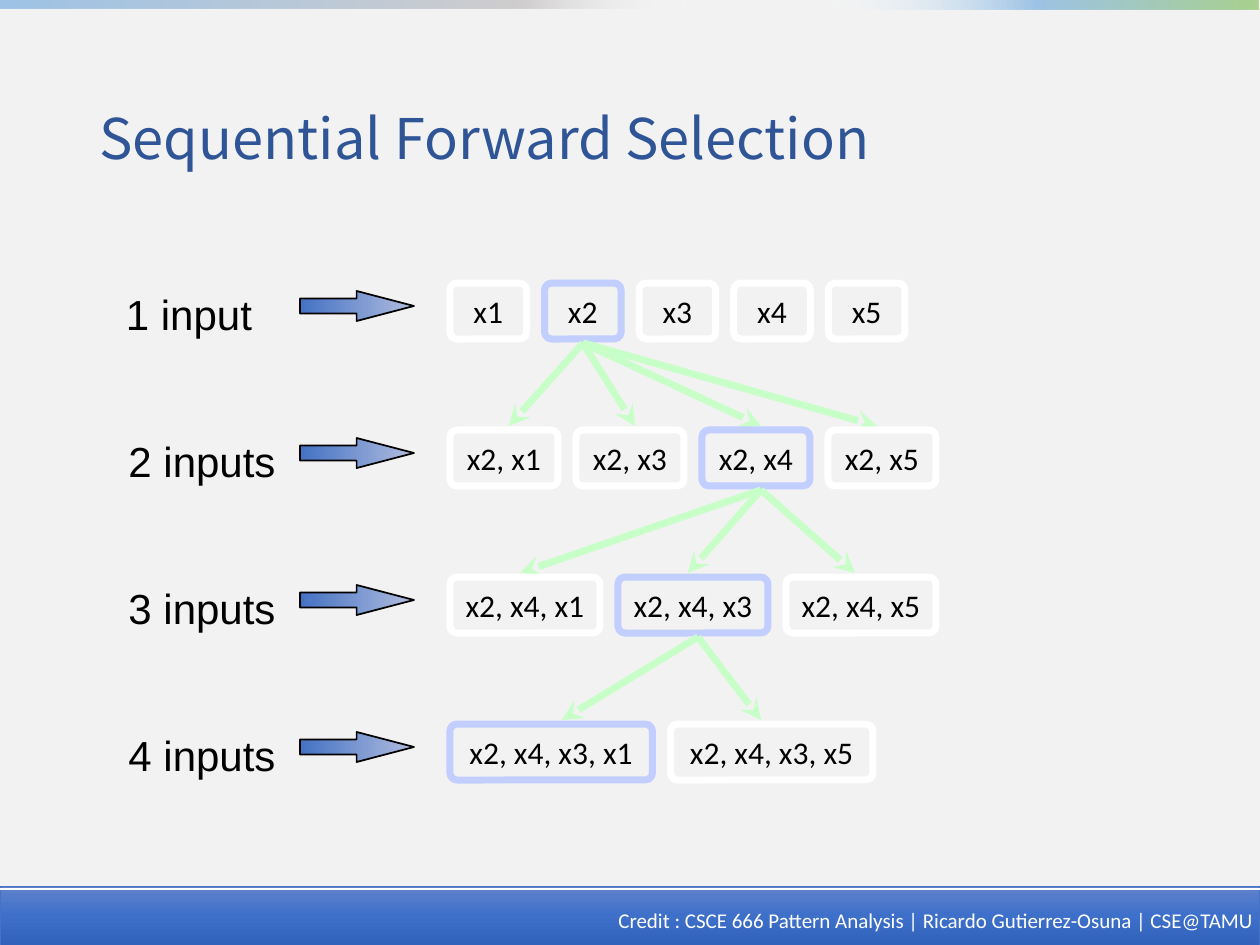
from dataclasses import dataclass

from lxml.etree import SubElement
from pptx import Presentation
from pptx.dml.color import RGBColor
from pptx.enum.shapes import MSO_CONNECTOR as Connector, MSO_SHAPE as Shape
from pptx.enum.text import MSO_ANCHOR as Anchor, PP_ALIGN as Align
from pptx.oxml.ns import qn
from pptx.util import Pt


@dataclass(frozen=True)
class Theme:
    backdrop: str = "F2F2F2"
    heading: str = "2F5597"
    ink: str = "000000"
    white: str = "FFFFFF"
    chosen: str = "C1CEFF"
    branch: str = "C8FEC8"
    footer_edge: str = "4472C4"
    footer: tuple = ((0, "6183CB"), (50, "3E70CA"), (100, "3062BB"))
    pointer: tuple = ((0, "4472C4"), (100, "B0BCDE"))
    top_left: tuple = ((0, "9DC3E6"), (75, "D0CECE"), (100, "FFFFFF", 0))
    top_right: tuple = ((0, "FFFFFF", 0), (50, "9DC3E6"), (100, "A9D18E"))
    title_font: str = "Noto Sans CJK TC"
    label_font: str = "Arial"
    body_font: str = "Calibri"
    title_size: int = 32
    label_size: int = 24
    node_size: int = 18
    credit_size: int = 12


@dataclass(frozen=True)
class Level:
    label: str
    label_box: tuple
    subsets: tuple
    chosen: int
    span: int
    filled: bool = False
    fork_x: int = 0
    tips: tuple = ()


THEME = Theme()
PX = 914400 / 126
LEVEL_PITCH = 147
NODE_HEIGHT = 56
NODE_GAP = 18
BRANCH_GAP = 4

LEVELS = (
    Level("1 input", (113, 152), ("x1", "x2", "x3", "x4", "x5"), 1, 455,
          fork_x=583, tips=(509, 635, 761, 877)),
    Level("2 inputs", (115, 174), ("x2, x1", "x2, x3", "x2, x4", "x2, x5"), 2, 486,
          filled=True, fork_x=761, tips=(520, 688, 855)),
    Level("3 inputs", (115, 174), ("x2, x4, x1", "x2, x4, x3", "x2, x4, x5"), 1, 486,
          filled=True, fork_x=698, tips=(562, 761)),
    Level("4 inputs", (115, 174), ("x2, x4, x3, x1", "x2, x4, x3, x5"), 0, 423),
)


def emu(*lengths):
    return [round(length * PX) for length in lengths]


def rgb(color):
    return RGBColor.from_string(color)


def paint_gradient(shape, stops, angle=0):
    shape.fill.gradient()
    gradient = shape._element.spPr.find(qn("a:gradFill"))
    stop_list = gradient.find(qn("a:gsLst"))
    for preset_stop in list(stop_list):
        stop_list.remove(preset_stop)
    for position, color, *alpha in stops:
        stop = SubElement(stop_list, qn("a:gs"), pos=str(position * 1000))
        tint = SubElement(stop, qn("a:srgbClr"), val=color)
        if alpha:
            SubElement(tint, qn("a:alpha"), val=str(alpha[0] * 1000))
    gradient.find(qn("a:lin")).set("ang", str(angle * 60000))


def add_shape(slide, kind, box, edge=None, weight=0):
    shape = slide.shapes.add_shape(kind, *emu(*box))
    shape.shadow.inherit = False
    if edge:
        shape.line.color.rgb = rgb(edge)
        shape.line.width = Pt(weight)
    else:
        shape.line.fill.background()
    return shape


def add_line(slide, start, end, color, weight, arrow=False):
    line = slide.shapes.add_connector(Connector.STRAIGHT, *emu(*start, *end))
    line.line.color.rgb = rgb(color)
    line.line.width = Pt(weight)
    properties = line._element.spPr
    if arrow:
        SubElement(properties.find(qn("a:ln")), qn("a:tailEnd"), type="stealth")
    SubElement(properties, qn("a:effectLst"))


def write(shape, words, font, size, color, align, anchor, wrap=True):
    frame = shape.text_frame
    frame.word_wrap = wrap
    frame.vertical_anchor = anchor
    paragraph = frame.paragraphs[0]
    paragraph.alignment = align
    run = paragraph.add_run()
    run.text = words
    run.font.name = font
    run.font.size = Pt(size)
    run.font.color.rgb = rgb(color)
    return paragraph


def add_top_band(slide, left, top):
    blue_end = add_shape(slide, Shape.RECTANGLE, (left - 2, top - 6, 700, 15))
    paint_gradient(blue_end, THEME.top_left)
    green_end = add_shape(slide, Shape.RECTANGLE, (left + 816, top, 442, 10))
    paint_gradient(green_end, THEME.top_right)


def add_footer(slide, left, top, width, height):
    band = add_shape(slide, Shape.RECTANGLE, (left, top, width, height),
                     THEME.footer_edge, 0.5)
    paint_gradient(band, THEME.footer, 90)
    add_line(slide, (left, top + 3), (left + width, top + 3), THEME.white, 1.5)
    credit = slide.shapes.add_textbox(*emu(left + 596, top + 15, 670, 38))
    write(credit, "Credit : CSCE 666 Pattern Analysis | Ricardo Gutierrez-Osuna | CSE@TAMU",
          THEME.body_font, THEME.credit_size, THEME.white, Align.RIGHT, Anchor.TOP)


def add_title(slide, *box):
    title = slide.shapes.add_textbox(*emu(*box))
    heading = write(title, "Sequential Forward Selection", THEME.title_font,
                    THEME.title_size, THEME.heading, Align.LEFT, Anchor.MIDDLE)
    heading.line_spacing = 0.9


def add_level_label(slide, level, top):
    left, width = level.label_box
    label = slide.shapes.add_textbox(*emu(left, top + 12, width, 48))
    caption = write(label, level.label, THEME.label_font, THEME.label_size,
                    THEME.ink, Align.CENTER, Anchor.BOTTOM, wrap=False)
    caption.line_spacing = 0.65
    pointer = add_shape(slide, Shape.RIGHT_ARROW, (300, top + 8, 114, 30), THEME.ink, 1)
    pointer.adjustments[0] = 0.5
    pointer.adjustments[1] = 1.91
    paint_gradient(pointer, THEME.pointer)


def add_subsets(slide, level, left, top):
    count = len(level.subsets)
    width = (level.span - NODE_GAP * (count - 1)) / count
    for index, subset in enumerate(level.subsets):
        is_chosen = index == level.chosen
        node = add_shape(slide, Shape.ROUNDED_RECTANGLE,
                         (left + index * (width + NODE_GAP), top, width, NODE_HEIGHT),
                         THEME.chosen if is_chosen else THEME.white, 4)
        node.adjustments[0] = 0.125
        if level.filled and not is_chosen:
            node.fill.solid()
            node.fill.fore_color.rgb = rgb(THEME.backdrop)
        else:
            node.fill.background()
        write(node, subset, THEME.body_font, THEME.node_size, THEME.ink,
              Align.CENTER, Anchor.MIDDLE, wrap=False)


def add_branches(slide, level, top):
    fork = (level.fork_x, top + NODE_HEIGHT + BRANCH_GAP)
    for tip_x in level.tips:
        add_line(slide, fork, (tip_x, top + LEVEL_PITCH - BRANCH_GAP),
                 THEME.branch, 4, arrow=True)


def add_search_tree(slide, left, top):
    for depth, level in enumerate(LEVELS):
        level_top = top + depth * LEVEL_PITCH
        add_level_label(slide, level, level_top)
        add_subsets(slide, level, left, level_top)
        add_branches(slide, level, level_top)


def main():
    deck = Presentation()
    deck.slide_width, deck.slide_height = emu(1260, 945)
    slide = deck.slides.add_slide(deck.slide_layouts[6])
    slide.background.fill.solid()
    slide.background.fill.fore_color.rgb = rgb(THEME.backdrop)
    add_top_band(slide, 0, 0)
    add_title(slide, 87, 50, 1086, 183)
    add_search_tree(slide, 450, 283)
    add_footer(slide, 0, 886, 1260, 59)
    deck.save("out.pptx")


if __name__ == "__main__":
    main()
